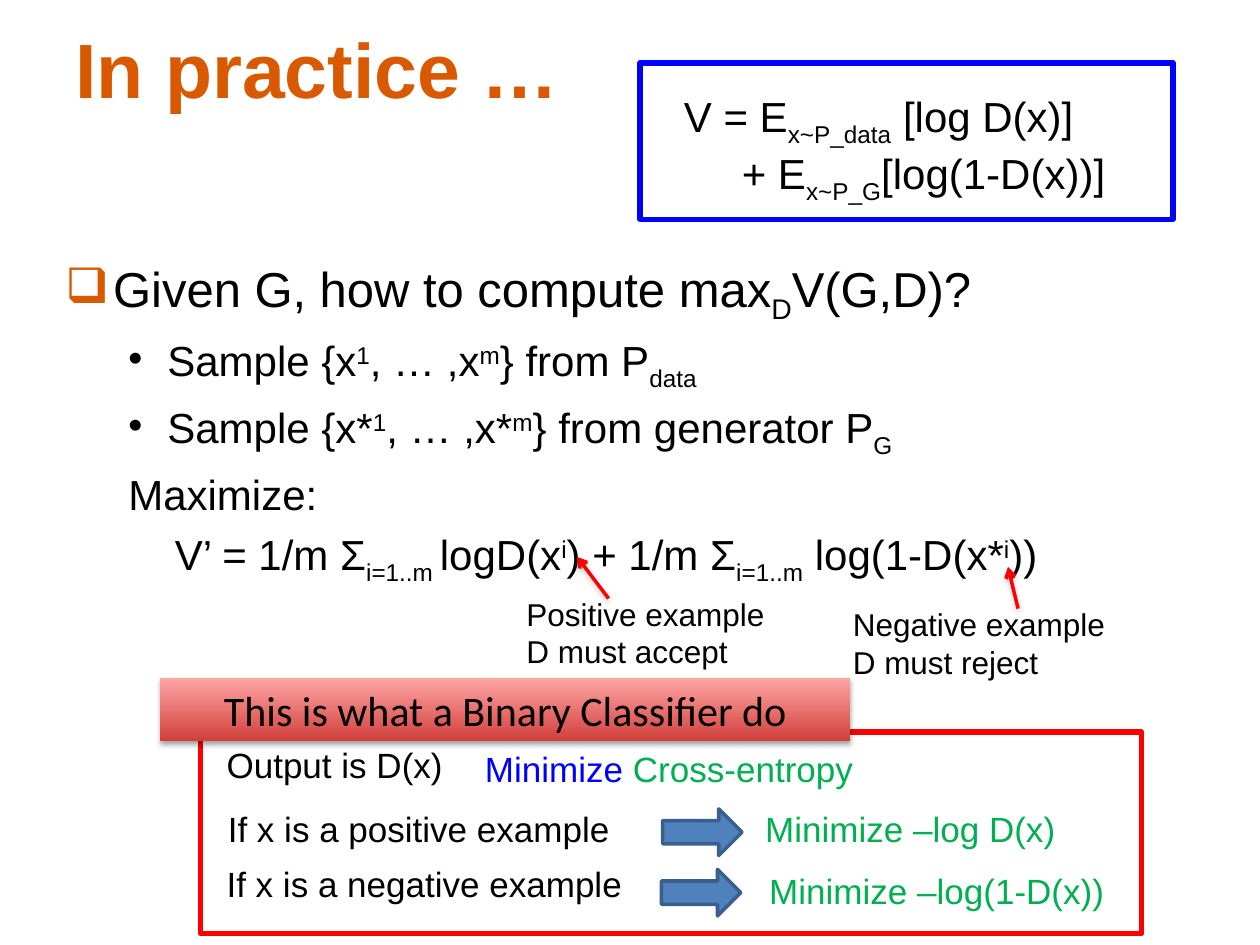
import lxml.etree
import pptx
import pptx.dml.color
import pptx.enum.shapes
import pptx.enum.text
import pptx.oxml.ns
import pptx.util

Inches = pptx.util.Inches
Pt = pptx.util.Pt
SHAPES = pptx.enum.shapes.MSO_SHAPE
ALIGN = pptx.enum.text.PP_ALIGN
ANCHOR = pptx.enum.text.MSO_ANCHOR
SUB, SUPER = -25000, 30000
COLORS = {
    "orange": "D95900", "black": "000000", "blue": "0000FF", "green": "00B050",
    "red": "FF0000", "arrow": "4F81BD", "arrow_edge": "3A5F8C",
    "banner_bottom": "D1403C", "banner_top": "FFA6A5", "gray": "808080",
}


def rgb(name):
    return pptx.dml.color.RGBColor.from_string(COLORS[name])


def add_element(parent, tag, **attributes):
    element = lxml.etree.SubElement(parent, pptx.oxml.ns.qn(tag))
    for key, value in attributes.items():
        element.set(key, str(value))
    return element


class SlideBuilder:
    def __init__(self, slide, font="Arial"):
        self.slide = slide
        self.font = font

    def style(self, paragraph, size, color="black", font=None, bold=False):
        paragraph.font.name = font or self.font
        paragraph.font.size = Pt(size)
        paragraph.font.bold = bold
        if color:
            paragraph.font.color.rgb = rgb(color)

    def title(self, text, left, top, width, height):
        title = self.slide.shapes.title
        title.left, title.top = Inches(left), Inches(top)
        title.width, title.height = Inches(width), Inches(height)
        title.text_frame.text = text
        title.text_frame.vertical_anchor = ANCHOR.MIDDLE
        paragraph = title.text_frame.paragraphs[0]
        paragraph.alignment = ALIGN.LEFT
        self.style(paragraph, 44, "orange", bold=True)

    def text_box(self, left, top, width, height):
        box = self.slide.shapes.add_textbox(
            Inches(left), Inches(top), Inches(width), Inches(height))
        box.text_frame.word_wrap = True
        return box.text_frame

    def paragraph(self, frame, segments, size, indent=None, bullet=None,
                  bullet_color="black", space=0):
        paragraph = frame.paragraphs[0]
        if paragraph.runs:
            paragraph = frame.add_paragraph()
        self.style(paragraph, size)
        paragraph.space_before = Pt(space)
        for text, baseline in segments:
            run = paragraph.add_run()
            run.text = text
            if baseline:
                run._r.get_or_add_rPr().set("baseline", str(baseline))
        properties = paragraph._p.get_or_add_pPr()
        if indent:
            margin, first = indent
            properties.set("marL", str(Inches(margin)))
            properties.set("indent", str(Inches(first)))
        if bullet:
            marker_color = lxml.etree.Element(pptx.oxml.ns.qn("a:buClr"))
            add_element(marker_color, "a:srgbClr", val=COLORS[bullet_color])
            marker = lxml.etree.Element(pptx.oxml.ns.qn("a:buChar"))
            marker.set("char", bullet)
            defaults = properties.find(pptx.oxml.ns.qn("a:defRPr"))
            defaults.addprevious(marker_color)
            defaults.addprevious(marker)

    def label(self, lines, left, top, width, height, size=20, color="black", align=ALIGN.LEFT):
        frame = self.text_box(left, top, width, height)
        frame.text = "\n".join(lines)
        for paragraph in frame.paragraphs:
            paragraph.alignment = align
            self.style(paragraph, size, color)

    def two_color_label(self, parts, left, top, width, height):
        paragraph = self.text_box(left, top, width, height).paragraphs[0]
        self.style(paragraph, 20, None)
        for text, color in parts:
            run = paragraph.add_run()
            run.text = text
            run.font.color.rgb = rgb(color)

    def shape(self, kind, left, top, width, height, line=None, weight=3, fill=None):
        shape = self.slide.shapes.add_shape(
            kind, Inches(left), Inches(top), Inches(width), Inches(height))
        shape.shadow.inherit = False
        if fill:
            shape.fill.solid()
            shape.fill.fore_color.rgb = rgb(fill)
        else:
            shape.fill.background()
        if line:
            shape.line.color.rgb = rgb(line)
            shape.line.width = Pt(weight)
        else:
            shape.line.fill.background()
        return shape

    def drop_shadow(self, effects, color, opacity, blur, distance):
        shadow = add_element(effects, "a:outerShdw", blurRad=Pt(blur), dist=Pt(distance),
                             dir=90 * 60000, rotWithShape=0)
        shade = add_element(shadow, "a:srgbClr", val=COLORS[color])
        add_element(shade, "a:alpha", val=opacity * 1000)

    def banner(self, text, left, top, width, height):
        banner = self.shape(SHAPES.RECTANGLE, left, top, width, height)
        banner.fill.gradient()
        banner.fill.gradient_angle = 90
        stops = zip(banner.fill.gradient_stops, (0, 1), ("banner_bottom", "banner_top"))
        for stop, position, color in stops:
            stop.position = position
            stop.color.rgb = rgb(color)
        effects = banner._element.spPr.find(pptx.oxml.ns.qn("a:effectLst"))
        self.drop_shadow(effects, "black", 35, 3.1, 1.8)
        banner.text_frame.text = text
        paragraph = banner.text_frame.paragraphs[0]
        paragraph.alignment = ALIGN.CENTER
        self.style(paragraph, 24, font="Calibri")

    def pointer(self, start, end):
        connector = self.slide.shapes.add_connector(
            pptx.enum.shapes.MSO_CONNECTOR.STRAIGHT, *map(Inches, start + end))
        connector.line.color.rgb = rgb("red")
        connector.line.width = Pt(2)
        add_element(connector.line._get_or_add_ln(), "a:tailEnd", type="arrow")
        effects = add_element(connector._element.spPr, "a:effectLst")
        self.drop_shadow(effects, "gray", 38, 3.1, 1.6)


def main():
    presentation = pptx.Presentation()
    presentation.slide_width, presentation.slide_height = Inches(10), Inches(7.5)
    builder = SlideBuilder(presentation.slides.add_slide(presentation.slide_layouts[5]))

    builder.title("In practice …", 0.5, 0.27, 9, 0.53)

    builder.two_color_label([("Minimize ", "blue"), ("Cross-entropy", "green")],
                            3.75, 5.88, 4.07, 0.44)
    builder.shape(SHAPES.RECTANGLE, 1.59, 5.81, 7.47, 1.6, "red")
    builder.banner("This is what a Binary Classifier do", 1.27, 5.38, 5.48, 0.5)
    builder.label(["Output is D(x)"], 1.7, 5.85, 2.12, 0.44)
    cases = [
        ("If x is a positive example", 1.71, 6.36, 5.26, 6.42, "Minimize –log D(x)", 5.62, 6.36),
        ("If x is a negative example", 1.7, 6.8, 5.25, 6.9, "Minimize –log(1-D(x))", 5.83, 6.85),
    ]
    for case, left, top, arrow_left, arrow_top, goal, goal_left, goal_top in cases:
        builder.label([case], left, top, 3.85, 0.44)
        builder.shape(SHAPES.RIGHT_ARROW, arrow_left, arrow_top, 0.63, 0.37,
                      "arrow_edge", 2, "arrow")
        builder.label([goal], goal_left, goal_top, 3.21, 0.44, color="green", align=ALIGN.CENTER)

    builder.shape(SHAPES.RECTANGLE, 5.08, 0.5, 4.23, 1.24, "blue")
    formula = builder.text_box(5.33, 0.67, 3.67, 1.21)
    builder.paragraph(formula, [("V = E", 0), ("x~P_data", SUB), (" [log D(x)]", 0)], 24)
    builder.paragraph(formula, [("+ E", 0), ("x~P_G", SUB), ("[log(1-D(x))]", 0)], 24, (0.46, 0))

    body = builder.text_box(0.42, 2, 9, 2.83)
    builder.paragraph(
        body, [("Given G, how to compute max", 0), ("D", SUB), ("V(G,D)?", 0)],
        28, (0.38, -0.38), "❑", "orange", 5.6)
    samples = [("x", "} from P", "data"), ("x*", "} from generator P", "G")]
    for variable, source, subscript in samples:
        builder.paragraph(
            body, [("Sample {" + variable, 0), ("1", SUPER), (", … ," + variable, 0),
                   ("m", SUPER), (source, 0), (subscript, SUB)],
            24, (0.81, -0.31), "•", space=5.5)
    builder.paragraph(body, [("Maximize:", 0)], 24, (0.81, -0.31), space=5.5)
    builder.paragraph(
        body, [("V’ = 1/m Σ", 0), ("i=1..m ", SUB), ("logD(x", 0), ("i", SUPER),
               (") + 1/m Σ", 0), ("i=1..m", SUB), (" log(1-D(x*", 0), ("i", SUPER), ("))", 0)],
        24, (0.81, 0.06), space=5.5)

    builder.label(["Positive example", "D must accept"], 4.08, 4.67, 2.11, 0.71, 18)
    builder.label(["Negative example", "D must reject"], 6.67, 4.75, 2.22, 0.71, 18)
    builder.pointer((4.83, 4.75), (4.58, 4.42))
    builder.pointer((8.08, 4.83), (8, 4.5))

    presentation.save("out.pptx")


if __name__ == "__main__":
    main()
